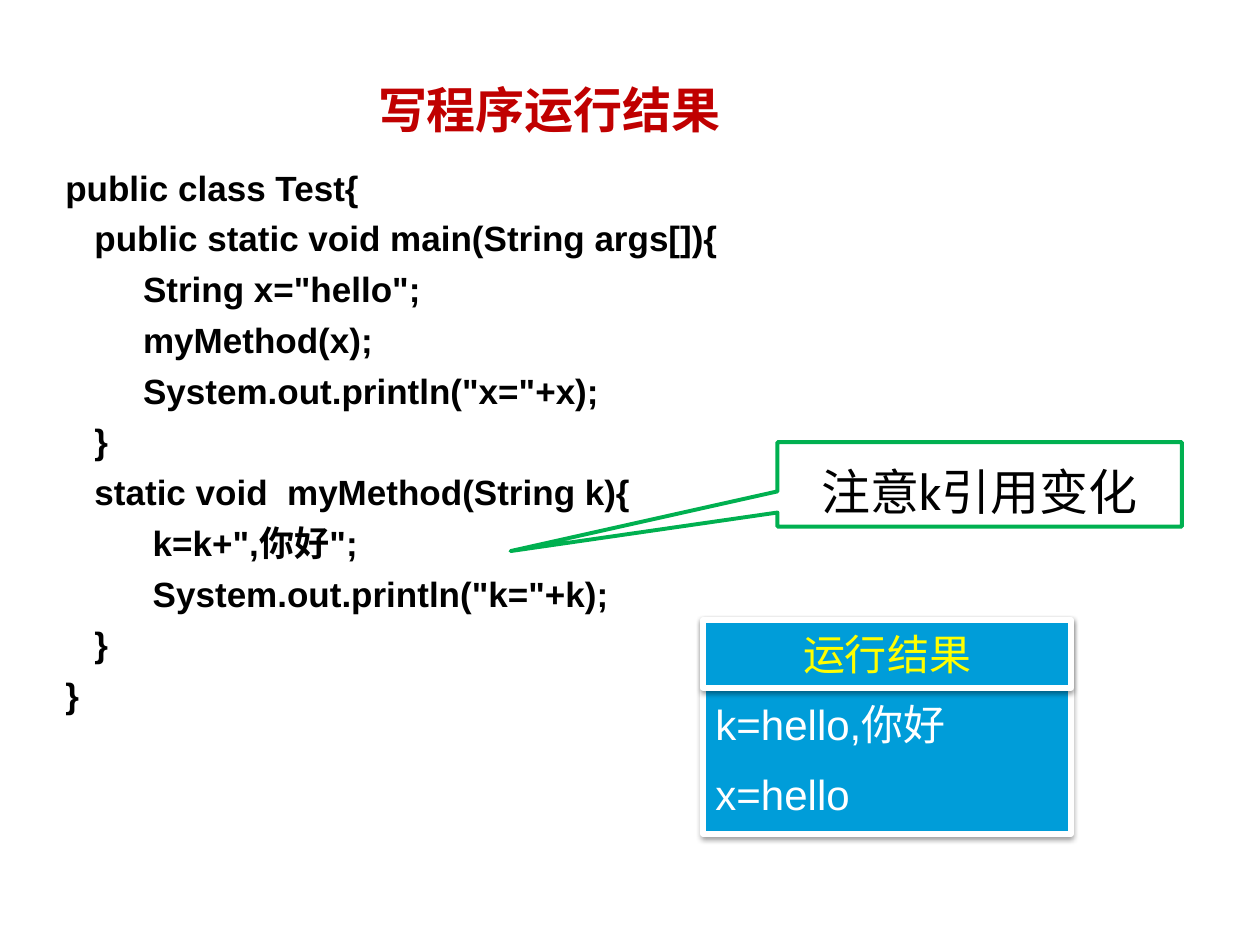
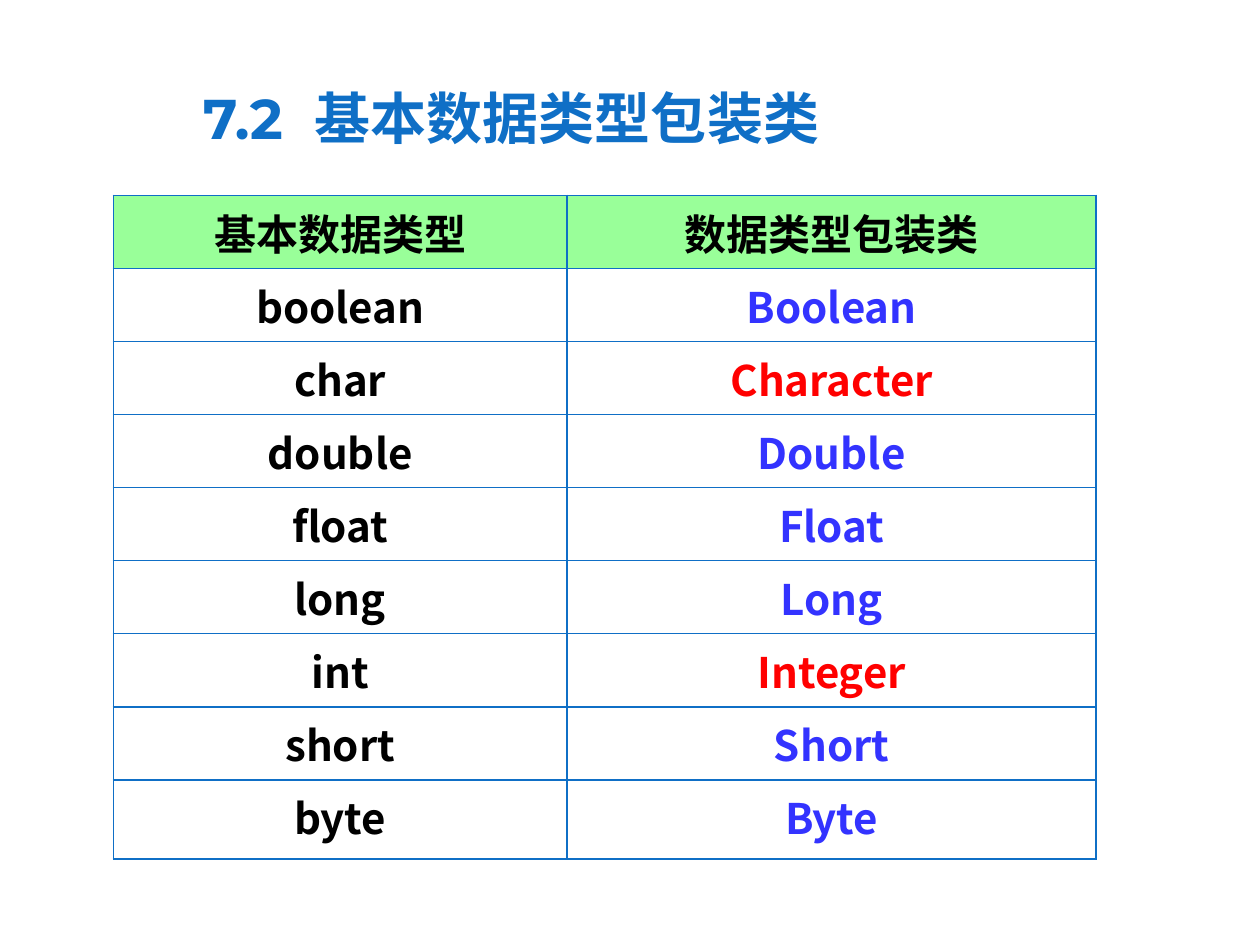
from lxml.etree import SubElement
from pptx import Presentation
from pptx.dml.color import RGBColor
from pptx.enum.shapes import MSO_SHAPE as Shape
from pptx.enum.text import MSO_ANCHOR as Anchor, PP_ALIGN as Align
from pptx.oxml import parse_xml
from pptx.oxml.ns import nsdecls, qn
from pptx.util import Inches, Pt

BLACK, WHITE, YELLOW = "000000", "FFFFFF", "FFFF00"
TITLE_RED, THEME_BLUE, RESULT_BLUE = "C00000", "0F6FC6", "009DD9"
CALLOUT_GREEN, HEADER_GREEN = "00B050", "99FF99"
WRAPPER_BLUE, IRREGULAR_RED = "3333FF", "FF0000"
TITLE_FONT, BODY_FONT, NOTE_FONT, TABLE_FONT = "Montserrat", "Arial", "Cabin", "Noto Sans CJK SC"

CODE = '''public class Test{
   public static void main(String args[]){
        String x="hello";
        myMethod(x);
        System.out.println("x="+x);
   }
   static void  myMethod(String k){
         k=k+",你好";
         System.out.println("k="+k);
   }
}'''

WRAPPERS = [
    ("boolean", "Boolean"), ("char", "Character"), ("double", "Double"), ("float", "Float"),
    ("long", "Long"), ("int", "Integer"), ("short", "Short"), ("byte", "Byte"),
]
IRREGULAR_NAMES = {"Character", "Integer"}


def color(value):
    """Turn a hex string into a colour."""
    return RGBColor.from_string(value)


class Lesson:
    """Hold the lesson style and the current page."""

    def __init__(self):
        """Start an empty deck."""
        self.deck = Presentation()
        self.deck.slide_width, self.deck.slide_height = Inches(10), Inches(7.5)
        self.page = None

    def new_page(self):
        """Add a blank page."""
        self.page = self.deck.slides.add_slide(self.deck.slide_layouts[6])

    def set_lines(self, frame, lines, font, size, ink, bold=False, align=Align.LEFT,
                  gap=0, spacing=None):
        """Set one paragraph per line, with a gap between them."""
        for number, line in enumerate(lines):
            para = frame.paragraphs[0] if number == 0 else frame.add_paragraph()
            para.text = line
            para.alignment = align
            para.line_spacing = spacing
            if number:
                para.space_before = Pt(gap)
            para.font.name, para.font.size, para.font.bold = font, Pt(size), bold
            para.font.color.rgb = color(ink)

    def text(self, area, lines, **style):
        """Add a wrapping text box."""
        box = self.page.shapes.add_textbox(*map(Inches, area))
        box.text_frame.word_wrap = True
        self.set_lines(box.text_frame, lines, **style)
        return box

    def title(self, area, text, size, ink):
        """Add a page title that rests on the bottom of its area."""
        frame = self.text(area, [text], font=TITLE_FONT, size=size, ink=ink, bold=True).text_frame
        frame.vertical_anchor = Anchor.BOTTOM
        frame.margin_left = frame.margin_right = frame.margin_bottom = 0

    def callout(self, area, pointer, text):
        """Add an outlined speech callout."""
        box = self.page.shapes.add_shape(Shape.RECTANGULAR_CALLOUT, *map(Inches, area))
        box.adjustments[0], box.adjustments[1] = pointer
        box.shadow.inherit = False
        box.fill.background()
        box.line.color.rgb, box.line.width = color(CALLOUT_GREEN), Pt(2.25)
        box.text_frame.word_wrap = True
        box.text_frame.vertical_anchor = Anchor.BOTTOM
        self.set_lines(box.text_frame, [text], NOTE_FONT, 28, BLACK,
                       align=Align.CENTER, spacing=1.5)

    def panel(self, group, area, lines, ink, **style):
        """Add a blue panel with a white edge and a soft shadow."""
        box = group.shapes.add_shape(Shape.RECTANGLE, *map(Inches, area))
        box.fill.solid()
        box.fill.fore_color.rgb = color(RESULT_BLUE)
        box.line.color.rgb, box.line.width = color(WHITE), Pt(3)
        box.shadow.inherit = False
        effects = box.element.spPr.find(qn("a:effectLst"))
        shadow = SubElement(effects, qn("a:outerShdw"), blurRad=str(Pt(3.1)), dist=str(Pt(1.6)),
                            dir="5400000", rotWithShape="0")
        tint = SubElement(shadow, qn("a:srgbClr"), val=BLACK)
        SubElement(tint, qn("a:alpha"), val="38000")
        box.text_frame.word_wrap = True
        box.text_frame.vertical_anchor = Anchor.MIDDLE
        self.set_lines(box.text_frame, lines, BODY_FONT, 24, ink, **style)
        return box

    def results(self, left, top, width, height, heading, lines):
        """Add a group of a result panel and its heading panel."""
        group = self.page.shapes.add_group_shape()
        frame = self.panel(group, (left, top, width, height), lines, WHITE,
                           gap=14, spacing=0.9).text_frame
        frame.vertical_anchor = Anchor.TOP
        frame.margin_top = Inches(0.67)
        self.panel(group, (left, top, width, 0.54), [heading], YELLOW, align=Align.CENTER)

    def cell(self, cell, text, ink, fill=None):
        """Fill, edge and label one table cell."""
        if fill:
            cell.fill.solid()
            cell.fill.fore_color.rgb = color(fill)
        else:
            cell.fill.background()
        properties = cell._tc.get_or_add_tcPr()
        for place, side in enumerate("LRTB"):
            properties.insert(place, parse_xml(
                f'<a:ln{side} {nsdecls("a")} w="{Pt(1)}"><a:solidFill>'
                f'<a:srgbClr val="{THEME_BLUE}"/></a:solidFill></a:ln{side}>'))
        self.set_lines(cell.text_frame, [text], TABLE_FONT, 24, ink, bold=True,
                       align=Align.CENTER)

    def table(self, left, top, widths, heights, header, rows):
        """Add the table of primitive types and their wrappers."""
        table = self.page.shapes.add_table(
            len(heights), len(widths), Inches(left), Inches(top),
            Inches(sum(widths)), Inches(sum(heights))).table
        table.first_row = table.horz_banding = False
        for column, width in zip(table.columns, widths):
            column.width = Inches(width)
        for row, height in zip(table.rows, heights):
            row.height = Inches(height)
        for column, text in enumerate(header):
            self.cell(table.cell(0, column), text, BLACK, HEADER_GREEN)
        for number, (primitive, wrapper) in enumerate(rows, 1):
            ink = IRREGULAR_RED if wrapper in IRREGULAR_NAMES else WRAPPER_BLUE
            self.cell(table.cell(number, 0), primitive, BLACK)
            self.cell(table.cell(number, 1), wrapper, ink)


def main():
    """Build and save the lesson."""
    lesson = Lesson()

    lesson.new_page()
    lesson.title((3, 0.68, 4.01, 0.42), "写程序运行结果", 28, TITLE_RED)
    lesson.text((0.42, 1.27, 8.42, 5.4), CODE.split("\n"), font=BODY_FONT, size=20,
                ink=BLACK, bold=True, gap=5)
    lesson.callout((6.17, 3.51, 3.21, 0.67), (-1.16, 0.79), "注意k引用变化")
    lesson.results(5.58, 4.92, 2.92, 1.7, "运行结果", ["k=hello,你好", "x=hello"])

    lesson.new_page()
    lesson.title((1.61, 0.68, 6.62, 0.52), "7.2  基本数据类型包装类", 32, THEME_BLUE)
    lesson.table(0.9, 1.55, [3.6, 4.2], [0.58] * len(WRAPPERS) + [0.63],
                 ["基本数据类型", "数据类型包装类"], WRAPPERS)

    lesson.deck.save("out.pptx")


if __name__ == "__main__":
    main()
